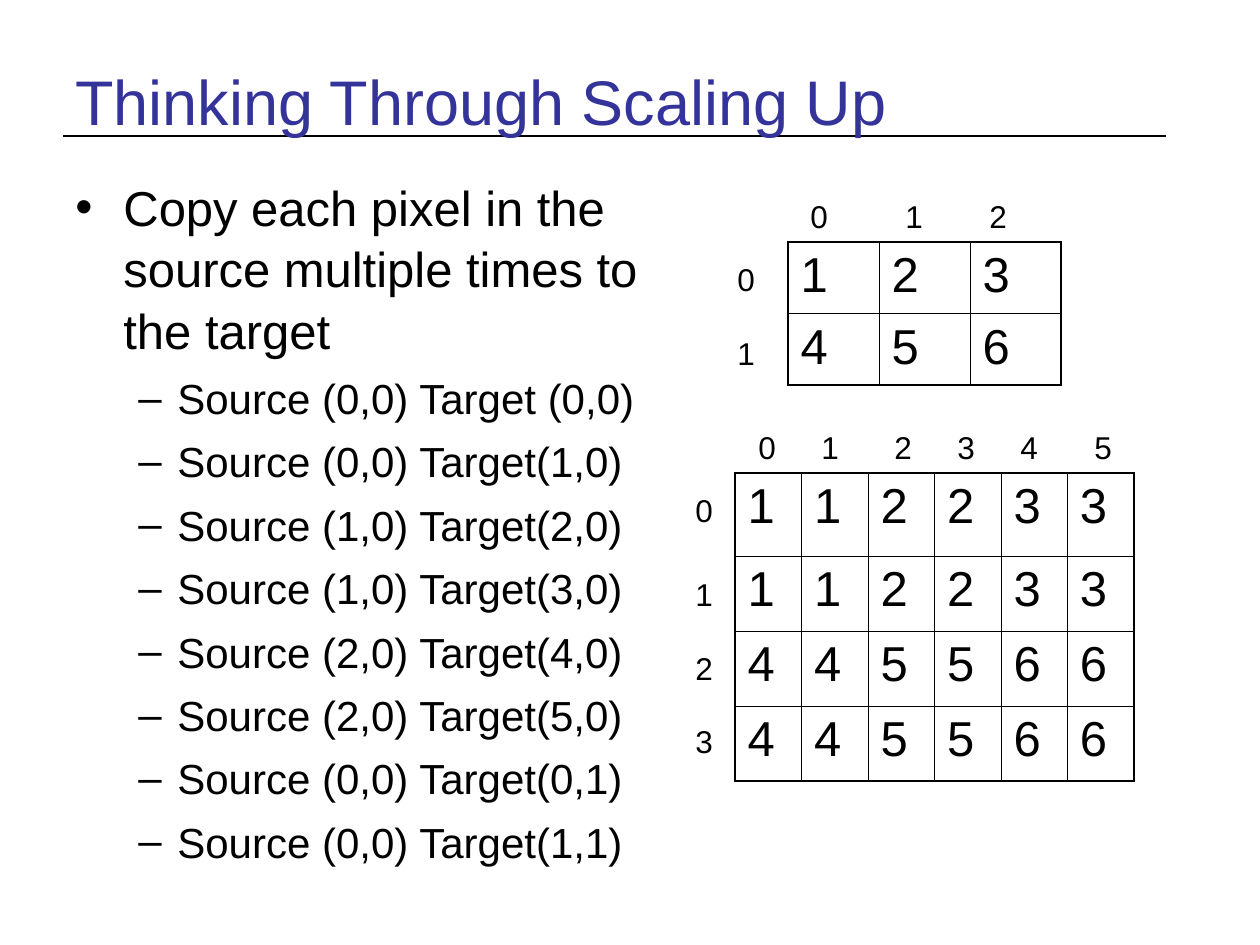
from lxml.etree import SubElement
from pptx import Presentation
from pptx.dml.color import RGBColor
from pptx.enum.shapes import MSO_CONNECTOR
from pptx.enum.text import MSO_ANCHOR
from pptx.oxml.ns import qn
from pptx.util import Emu, Pt

SCALE = 914400 / 126
COLORS = {"title": "333399", "ink": "000000"}
FONT = "Arial"
OUTER, INNER = 1.08, 0.45


def px(n):
    return Emu(round(n * SCALE))


def rgb(name):
    return RGBColor.from_string(COLORS[name])


def write(p, text, size=18, color="ink", bullet=None, margin=0, hang=0, before=0, spacing=None):
    if bullet:
        pPr = p._p.get_or_add_pPr()
        pPr.set("marL", str(px(margin)))
        pPr.set("indent", str(-px(hang)))
        SubElement(pPr, qn("a:buFont"), typeface=FONT)
        SubElement(pPr, qn("a:buChar"), char=bullet)
    if before:
        p.space_before = Pt(before)
    if spacing:
        p.line_spacing = spacing
    r = p.add_run()
    r.text = text
    r.font.name, r.font.size = FONT, Pt(size)
    r.font.color.rgb = rgb(color)


def add_box(slide, x, y, w, h, anchor=MSO_ANCHOR.TOP):
    tf = slide.shapes.add_textbox(px(x), px(y), px(w), px(h)).text_frame
    tf.word_wrap = True
    tf.vertical_anchor = anchor
    return tf


def add_rule(slide, x1, x2, y):
    line = slide.shapes.add_connector(MSO_CONNECTOR.STRAIGHT, px(x1), px(y), px(x2), px(y))
    line.line.color.rgb = rgb("ink")
    line.line.width = Pt(1.5)
    SubElement(line._element.spPr, qn("a:effectLst"))


def add_bullets(slide, lead, items):
    tf = add_box(slide, 63, 168, 609, 677)
    write(tf.paragraphs[0], lead, size=28, bullet="•", margin=48, hang=48, spacing=1.05)
    for item in items:
        write(tf.add_paragraph(), item, size=24, bullet="–", margin=102, hang=39,
              before=6, spacing=1.05)


def set_borders(cell, edges):
    tcPr = cell._tc.get_or_add_tcPr()
    for side, is_outer in edges.items():
        width = Pt(OUTER if is_outer else INNER)
        ln = SubElement(tcPr, qn(f"a:ln{side}"), w=str(width))
        SubElement(SubElement(ln, qn("a:solidFill")), qn("a:srgbClr"), val=COLORS["ink"])


def add_grid(slide, x, y, width, heights, values):
    rows, cols = len(values), len(values[0])
    frame = slide.shapes.add_table(rows, cols, px(x), px(y), px(width), px(sum(heights)))
    table = frame.table
    table.first_row = table.horz_banding = False
    for column in table.columns:
        column.width = px(width / cols)
    for i, row in enumerate(values):
        table.rows[i].height = px(heights[i])
        for j, value in enumerate(row):
            cell = table.cell(i, j)
            set_borders(cell, {"L": j == 0, "R": j == cols - 1, "T": i == 0, "B": i == rows - 1})
            cell.fill.background()
            write(cell.text_frame.paragraphs[0], value, size=28)


def add_indices(slide, width, col_xs, col_y, row_x, row_ys):
    spots = [(i, x, col_y) for i, x in enumerate(col_xs)]
    spots += [(i, row_x, y) for i, y in enumerate(row_ys)]
    for index, x, y in spots:
        write(add_box(slide, x, y, width, 50).paragraphs[0], str(index), spacing=1.05)


def main():
    prs = Presentation()
    prs.slide_width, prs.slide_height = px(1260), px(945)
    slide = prs.slides.add_slide(prs.slide_layouts[6])

    add_rule(slide, 63, 1166, 136)
    title = add_box(slide, 63, 38, 1134, 120, MSO_ANCHOR.MIDDLE)
    write(title.paragraphs[0], "Thinking Through Scaling Up", size=36, color="title", spacing=1.05)
    add_bullets(slide, "Copy each pixel in the source multiple times to the target", [
        "Source (0,0) Target (0,0)",
        "Source (0,0) Target(1,0)",
        "Source (1,0) Target(2,0)",
        "Source (1,0) Target(3,0)",
        "Source (2,0) Target(4,0)",
        "Source (2,0) Target(5,0)",
        "Source (0,0) Target(0,1)",
        "Source (0,0) Target(1,1)",
    ])

    source = ["123", "456"]
    target = ["".join(v * 2 for v in row) for row in source for _ in range(2)]
    add_grid(slide, 735, 473, 399, [83, 75, 75, 75], target)
    add_grid(slide, 788, 242, 273, [71, 71], source)
    add_indices(slide, 63, [798, 893, 977], 189, 725, [252, 326])
    add_indices(slide, 42, [746, 809, 882, 945, 1008, 1082], 420, 683, [483, 567, 641, 714])

    prs.save("out.pptx")


if __name__ == "__main__":
    main()
